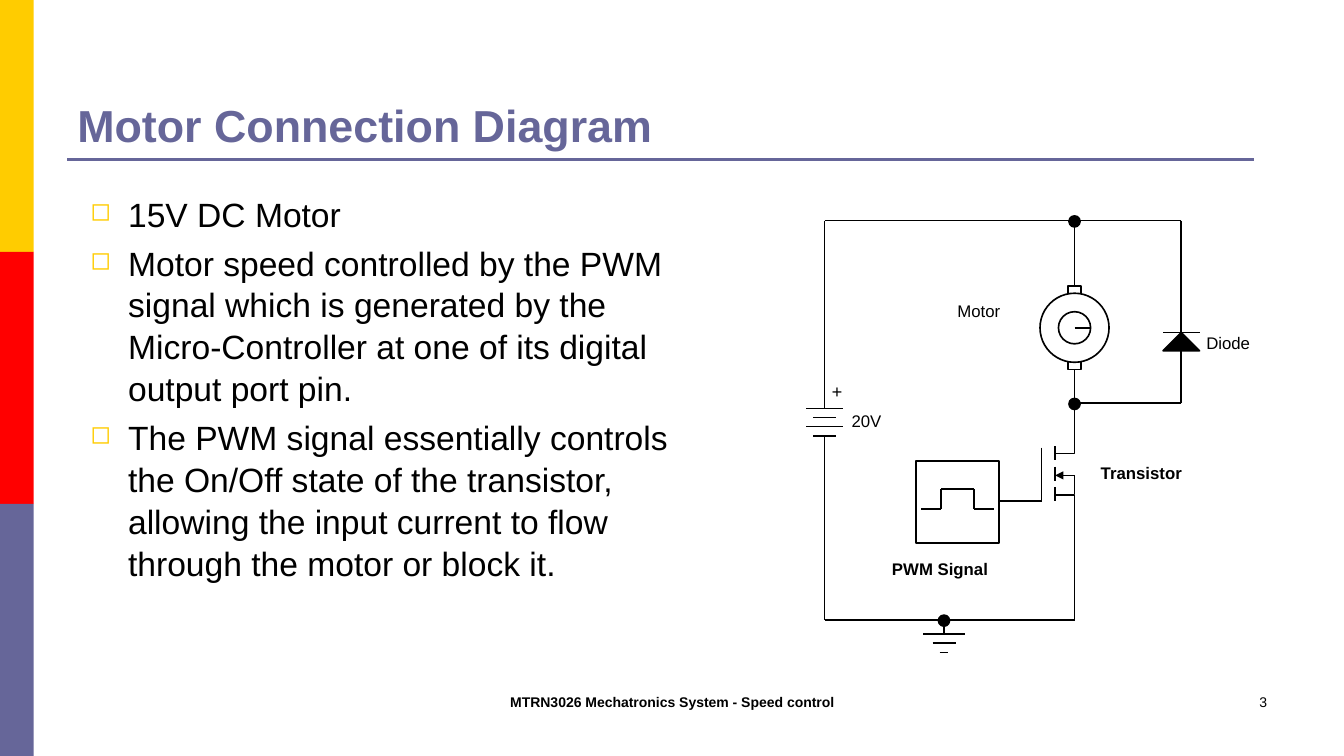
from dataclasses import dataclass
from itertools import pairwise

from lxml.etree import SubElement
from pptx import Presentation
from pptx.dml.color import RGBColor
from pptx.enum.shapes import MSO_CONNECTOR, MSO_SHAPE
from pptx.enum.text import MSO_ANCHOR, PP_ALIGN
from pptx.oxml.ns import qn
from pptx.util import Cm, Pt


@dataclass(frozen=True)
class Theme:
    yellow: str = "FFCC00"
    red: str = "FF0000"
    violet: str = "666699"
    black: str = "000000"
    white: str = "FFFFFF"
    font: str = "Arial"
    mono: str = "Courier New"
    title: float = 32
    body: float = 24
    sign: float = 13
    label: float = 12
    footer: float = 10
    wire: float = 1.15
    thin: float = 1
    rule: float = 1.5


class SlideBuilder:
    """Draws on one page; all positions are in centimetres."""

    def __init__(self, page, theme):
        self.page = page
        self.theme = theme

    def outline(self, shape, fill, line):
        shape.shadow.inherit = False
        if fill:
            shape.fill.solid()
            shape.fill.fore_color.rgb = RGBColor.from_string(fill)
        else:
            shape.fill.background()
        if line:
            shape.line.color.rgb = RGBColor.from_string(line)
            shape.line.width = Pt(self.theme.wire)
        else:
            shape.line.fill.background()

    def shape(self, kind, left, top, width, height, fill, line=None):
        shape = self.page.shapes.add_shape(kind, Cm(left), Cm(top), Cm(width), Cm(height))
        self.outline(shape, fill, line)

    def circle(self, x, y, diameter, fill):
        radius = diameter / 2
        self.shape(MSO_SHAPE.OVAL, x - radius, y - radius, diameter, diameter,
                   fill, self.theme.black)

    def outline_path(self, points, fill=None, closed=False):
        corners = [(Cm(x), Cm(y)) for x, y in points]
        builder = self.page.shapes.build_freeform(*corners[0])
        builder.add_line_segments(corners[1:], close=closed)
        self.outline(builder.convert_to_shape(), fill, self.theme.black)

    def wire(self, *points, color=None, width=None, arrow=False):
        for (x1, y1), (x2, y2) in pairwise(points):
            line = self.page.shapes.add_connector(
                MSO_CONNECTOR.STRAIGHT, Cm(x1), Cm(y1), Cm(x2), Cm(y2))
            line.line.color.rgb = RGBColor.from_string(color or self.theme.black)
            line.line.width = Pt(width or self.theme.wire)
            if arrow:
                SubElement(line.line._get_or_add_ln(), qn("a:tailEnd"), type="triangle")
            SubElement(line._element.spPr, qn("a:effectLst"))

    def bar(self, x, y, half):
        self.wire((x - half, y), (x + half, y))

    def text(self, left, top, width, height, lines, size, color=None, font=None,
             bold=False, align=PP_ALIGN.LEFT, anchor=MSO_ANCHOR.TOP,
             inset=True, wrap=True, fill=None, bullets=False):
        box = self.page.shapes.add_textbox(Cm(left), Cm(top), Cm(width), Cm(height))
        if fill:
            box.fill.solid()
            box.fill.fore_color.rgb = RGBColor.from_string(fill)
        frame = box.text_frame
        frame.word_wrap = wrap
        frame.vertical_anchor = anchor
        if not inset:
            frame.margin_left = frame.margin_right = Cm(0)
            frame.margin_top = frame.margin_bottom = Cm(0)
        for index, line in enumerate(lines):
            para = frame.add_paragraph() if index else frame.paragraphs[0]
            para.alignment = align
            if bullets:
                self.bullet(para, size)
            span = para.add_run()
            span.text = line
            span.font.name = font or self.theme.font
            span.font.size = Pt(size)
            span.font.bold = bold
            span.font.color.rgb = RGBColor.from_string(color or self.theme.black)

    def bullet(self, para, size):
        para.space_before = Pt(size * 0.2)
        para.line_spacing = 1.04
        properties = para._p.get_or_add_pPr()
        properties.set("marL", str(Cm(0.95)))
        properties.set("indent", str(-Cm(0.95)))
        color = SubElement(properties, qn("a:buClr"))
        SubElement(color, qn("a:srgbClr"), val=self.theme.yellow)
        SubElement(properties, qn("a:buSzPct"), val="75000")
        SubElement(properties, qn("a:buChar"), char="◻")

    def label(self, left, top, width, text, **style):
        self.text(left, top, width, 0.75, [text], style.pop("size", self.theme.label),
                  inset=False, **style)


def draw_frame(slide, theme):
    # Side stripes and title rule
    for index, color in enumerate((theme.yellow, theme.red, theme.violet)):
        slide.shape(MSO_SHAPE.RECTANGLE, 0, 6.35 * index, 0.85, 6.35, color)
    slide.wire((1.7, 4.02), (31.6, 4.02), color=theme.violet, width=theme.rule)

    # Footer
    slide.text(11.58, 17.35, 10.72, 1.27, ["MTRN3026 Mechatronics System - Speed control"],
               theme.footer, bold=True, align=PP_ALIGN.CENTER)
    slide.text(24.28, 17.35, 7.9, 1.27, ["3"], theme.footer, align=PP_ALIGN.RIGHT)

    # Title and bullets
    slide.text(1.7, 0.76, 30.48, 3.18, ["Motor Connection Diagram"], theme.title,
               color=theme.violet, bold=True, anchor=MSO_ANCHOR.BOTTOM)
    slide.text(2.03, 4.72, 15.39, 12.32, [
        "15V DC Motor",
        "Motor speed controlled by the PWM signal which is generated by the "
        "Micro-Controller at one of its digital output port pin.",
        "The PWM signal essentially controls the On/Off state of the transistor, "
        "allowing the input current to flow through the motor or block it.",
    ], theme.body, bullets=True)


def draw_circuit(slide, theme):
    battery_x, ground_x, motor_x, diode_x = 20.78, 23.79, 27.08, 29.77
    top, junction, bottom = 5.56, 10.16, 15.62
    motor_y = 8.26

    # Wires between the parts
    slide.wire((battery_x, 10.29), (battery_x, top), (diode_x, top), (diode_x, 8.38))
    slide.wire((diode_x, 8.84), (diode_x, junction), (motor_x, junction))
    slide.wire((battery_x, 10.98), (battery_x, bottom), (motor_x, bottom), (motor_x, 12.62))
    slide.wire((motor_x, top), (motor_x, 7.21))
    slide.wire((motor_x, 9.31), (motor_x, 11.25))
    for x, y in ((motor_x, top), (motor_x, junction), (ground_x, bottom)):
        slide.circle(x, y + 0.02, 0.28, theme.black)

    # Battery
    for index, half in enumerate((0.46, 0.29) * 2):
        slide.bar(battery_x, 10.29 + 0.23 * index, half)
    slide.label(20.96, 9.58, 0.41, "+", size=theme.sign, font=theme.mono, wrap=False)
    slide.label(21.46, 10.34, 1.27, "20V", wrap=False)

    # Ground
    slide.wire((ground_x, bottom), (ground_x, 15.98))
    for index, half in enumerate((0.52, 0.29, 0.11)):
        slide.bar(ground_x, 15.98 + 0.23 * index, half)

    # Motor with its two brushes
    for diameter in (1.74, 0.81):
        slide.circle(motor_x, motor_y, diameter, theme.white)
    slide.wire((motor_x, motor_y), (motor_x + 0.4, motor_y))
    for side in (-1, 1):
        inner, outer = motor_y + side * 0.87, motor_y + side * 1.05
        slide.outline_path([(motor_x + 0.17, inner), (motor_x + 0.17, outer),
                            (motor_x - 0.17, outer), (motor_x - 0.17, inner)])
    slide.label(24.13, 7.57, 1.88, "Motor")

    # Diode
    slide.bar(diode_x, 8.38, 0.46)
    slide.outline_path([(diode_x, 8.38), (diode_x + 0.46, 8.84), (diode_x - 0.46, 8.84)],
                       theme.black, closed=True)
    slide.label(30.4, 8.38, 1.85, "Diode", wrap=False)

    # PWM source
    slide.shape(MSO_SHAPE.RECTANGLE, 23.09, 11.61, 2.08, 2.08, theme.white, theme.black)
    low, high = 12.83, 12.32
    slide.wire((23.22, low), (23.72, low), (23.72, high),
               (24.54, high), (24.54, low), (25.04, low))
    slide.wire((25.17, 12.62), (26.24, 12.62))
    slide.label(22.48, 14.07, 3.63, "PWM Signal", bold=True, fill=theme.white)

    # Transistor
    channel_x = 26.59
    slide.wire((26.24, 11.28), (26.24, 12.65), width=theme.thin)
    for index in range(3):
        start = 11.25 + 0.51 * index
        slide.wire((channel_x, start), (channel_x, start + 0.35))
    for inner, outer in ((11.43, 11.25), (12.47, 12.62)):
        slide.outline_path([(channel_x, inner), (motor_x, inner), (motor_x, outer)])
    slide.wire((motor_x, 12.45), (motor_x, 11.96), width=theme.thin)
    slide.wire((motor_x, 11.98), (channel_x, 11.98), width=theme.thin, arrow=True)
    slide.label(27.74, 11.66, 3.28, "Transistor", bold=True, fill=theme.white)


def main():
    deck = Presentation()
    deck.slide_width, deck.slide_height = Cm(33.87), Cm(19.05)
    theme = Theme()
    slide = SlideBuilder(deck.slides.add_slide(deck.slide_layouts[6]), theme)
    draw_frame(slide, theme)
    draw_circuit(slide, theme)
    deck.save("out.pptx")


if __name__ == "__main__":
    main()
